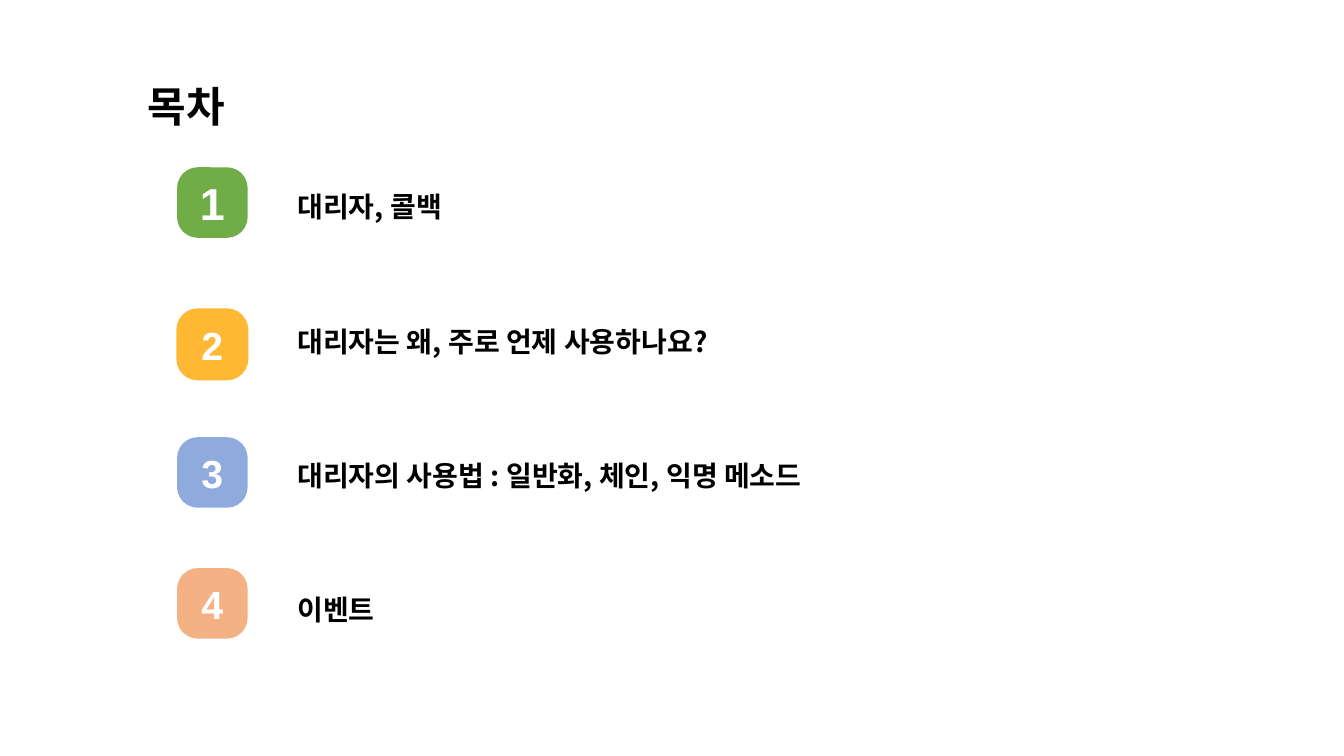
"""Build the contents slide: a title, four numbered tiles and their topics."""
from dataclasses import dataclass

from lxml import etree
from pptx import Presentation
from pptx.dml.color import RGBColor
from pptx.enum.shapes import MSO_SHAPE
from pptx.enum.text import MSO_ANCHOR, MSO_AUTO_SIZE, PP_ALIGN
from pptx.oxml.ns import qn
from pptx.util import Pt

ROUNDED = MSO_SHAPE.ROUNDED_RECTANGLE
TOP, MIDDLE = MSO_ANCHOR.TOP, MSO_ANCHOR.MIDDLE
NO_FIT = MSO_AUTO_SIZE.NONE
LEFT, CENTER = PP_ALIGN.LEFT, PP_ALIGN.CENTER


@dataclass(frozen=True)
class Theme:
    """Colours, fonts and type sizes of the slide."""
    text: str = "000000"
    number: str = "FFFFFF"
    green: str = "70AD47"
    amber: str = "FEB834"
    blue: str = "8FAADC"
    peach: str = "F4B183"
    text_font: str = "Noto Sans CJK KR"
    number_font: str = "Arial"
    title_size: int = 30
    topic_size: int = 20
    first_number_size: int = 32
    number_size: int = 28


THEME = Theme()
TILE_LEFT, TILE_SIZE, TILE_ROUNDING = 126.5, 50.4, 0.294
TILES = [
    (119.5, THEME.green, THEME.first_number_size, None),
    (220.8, THEME.amber, THEME.number_size, THEME.amber),
    (312.3, THEME.blue, THEME.number_size, None),
    (405.8, THEME.peach, THEME.number_size, None),
]
TOPICS = [
    "대리자, 콜백",
    "대리자는 왜, 주로 언제 사용하나요?",
    "대리자의 사용법 : 일반화, 체인, 익명 메소드",
    "이벤트",
]
TEXT_FRAME = {"word_wrap": True, "auto_size": NO_FIT, "vertical_anchor": TOP,
              "margin_left": Pt(7.2), "margin_right": Pt(7.2),
              "margin_top": Pt(3.6), "margin_bottom": Pt(3.6)}
TILE_FRAME = {"word_wrap": True, "vertical_anchor": MIDDLE,
              "margin_left": 0, "margin_right": 0}
TEXT_PARAGRAPH = {"alignment": LEFT, "line_spacing": 1.0,
                  "space_before": Pt(0), "space_after": Pt(72)}


def apply(obj, values):
    """Set each named attribute of an object."""
    for name, value in values.items():
        setattr(obj, name, value)


def place(sp, left, top, width, height):
    """Position a shape, with lengths in points."""
    apply(sp, {"left": Pt(left), "top": Pt(top),
               "width": Pt(width), "height": Pt(height)})


def add_run(p, text, font, size, color):
    """Add a bold, unkerned run with the same face for Latin and Korean."""
    r = p.add_run()
    r.text = text
    apply(r.font, {"name": font, "size": Pt(size), "bold": True})
    r.font.color.rgb = RGBColor.from_string(color)
    rPr = r.font._element
    rPr.set("kern", "0")
    ea = etree.Element(qn("a:ea"), typeface=font)
    rPr.find(qn("a:latin")).addnext(ea)


def fill_placeholder(sp, box, lines, size):
    """Move a placeholder and write one plain paragraph per line."""
    place(sp, *box)
    tf = sp.text_frame
    apply(tf, TEXT_FRAME)
    for i, line in enumerate(lines):
        p = tf.add_paragraph() if i else tf.paragraphs[0]
        apply(p, TEXT_PARAGRAPH)
        add_run(p, line, THEME.text_font, size, THEME.text)
        pPr = p._p.get_or_add_pPr()
        pPr.set("marL", "0")
        pPr.set("indent", "0")
        etree.SubElement(pPr, qn("a:buNone"))


def add_tile(slide, number, top, color, size, border):
    """Add a rounded tile holding its number."""
    sp = slide.shapes.add_shape(ROUNDED, 0, 0, 0, 0)
    place(sp, TILE_LEFT, top, TILE_SIZE, TILE_SIZE)
    sp.adjustments[0] = TILE_ROUNDING
    sp.shadow.inherit = False
    sp.fill.solid()
    sp.fill.fore_color.rgb = RGBColor.from_string(color)
    if border:
        sp.line.color.rgb = RGBColor.from_string(border)
        sp.line.width = Pt(1)
    else:
        sp.line.fill.background()
    apply(sp.text_frame, TILE_FRAME)
    p = sp.text_frame.paragraphs[0]
    p.alignment = CENTER
    add_run(p, str(number), THEME.number_font, size, THEME.number)


def main():
    """Build and save the presentation."""
    prs = Presentation()
    apply(prs, {"slide_width": Pt(960), "slide_height": Pt(540)})
    slide = prs.slides.add_slide(prs.slide_layouts[1])
    fill_placeholder(slide.shapes.title, (98.4, 54.2, 436.3, 44),
                     ["목차"], THEME.title_size)
    fill_placeholder(slide.placeholders[1], (205.2, 131.8, 452.9, 322.6),
                     TOPICS, THEME.topic_size)
    for number, tile in enumerate(TILES, 1):
        add_tile(slide, number, *tile)
    prs.save("out.pptx")


if __name__ == "__main__":
    main()
